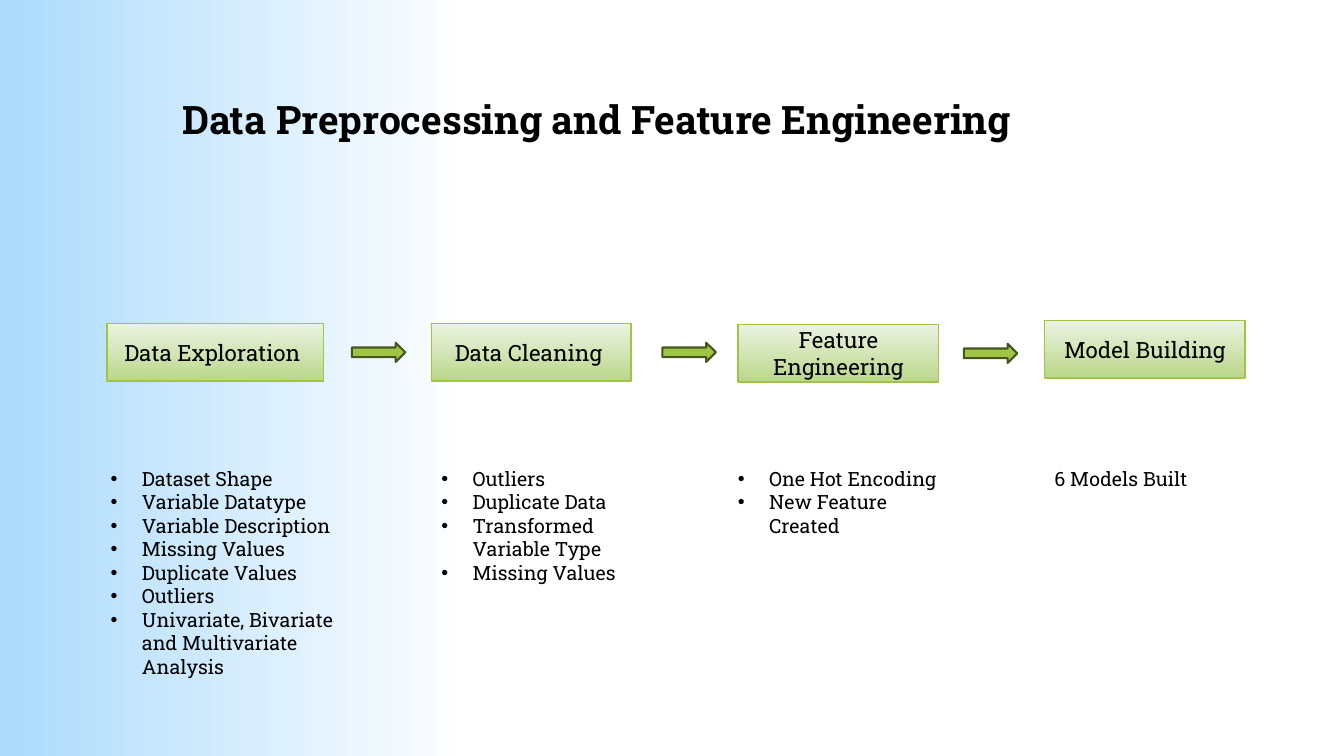
from dataclasses import dataclass

from lxml.etree import SubElement
from pptx import Presentation
from pptx.dml.color import RGBColor
from pptx.enum.shapes import MSO_SHAPE
from pptx.enum.text import MSO_ANCHOR, MSO_AUTO_SIZE, PP_ALIGN
from pptx.oxml.ns import qn
from pptx.util import Inches, Pt

# Content
TITLE = "Data Preprocessing and Feature Engineering"
# Each stage: heading, (left, top, width) of its box, (left, width, height) of its steps
STAGES = [
    ("Data Exploration ", (1.06, 3.21, 2.15), (1.0, 2.7, 1.99),
     ["Dataset Shape", "Variable Datatype", "Variable Description",
      "Missing Values", "Duplicate Values", "Outliers",
      "Univariate, Bivariate and Multivariate Analysis"]),
    ("Data Cleaning ", (4.28, 3.21, 1.98), (4.28, 1.98, 1.51),
     ["Outliers", "Duplicate Data", "Transformed Variable Type",
      "Missing Values"]),
    ("Feature Engineering", (7.32, 3.22, 1.99), (7.22, 2.4, 0.57),
     ["One Hot Encoding", "New Feature Created"]),
    ("Model Building", (10.36, 3.18, 1.99), (10.36, 2.13, 0.34),
     ["6 Models Built"]),
]
ARROWS = [(3.49, 3.4), (6.57, 3.4), (9.56, 3.41)]
BOX_HEIGHT = 0.57
STEPS_TOP = 4.58
BULLET_INDENT = 0.31


@dataclass(frozen=True)
class Theme:
    font: str = "Roboto Slab"
    title_size: int = 28
    stage_size: int = 16
    step_size: int = 14
    text: str = "000000"
    green: str = "9EC544"
    arrow_line: str = "45561E"
    box_gradient: tuple = ((0, "EBF3E1"), (1, "BAD78A"))
    page_gradient: tuple = ((0.65, "FFFFFF"), (1, "ABDAFC"))


THEME = Theme()


def color(value):
    return RGBColor.from_string(value)


def apply_gradient(fill, stops, angle):
    fill.gradient()
    fill.gradient_angle = angle
    for stop, (position, value) in zip(fill.gradient_stops, stops):
        stop.color.rgb = color(value)
        stop.position = position


def format_text(text_frame, size, alignment, bold=False):
    text_frame.word_wrap = True
    for paragraph in text_frame.paragraphs:
        paragraph.alignment = alignment
        for run in paragraph.runs:
            run.font.name = THEME.font
            run.font.size = Pt(size)
            run.font.bold = bold
            run.font.color.rgb = color(THEME.text)


def add_bullet(paragraph):
    properties = paragraph._p.get_or_add_pPr()
    properties.set("marL", str(Inches(BULLET_INDENT)))
    properties.set("indent", str(-Inches(BULLET_INDENT)))
    SubElement(properties, qn("a:buFont")).set("typeface", "Arial")
    SubElement(properties, qn("a:buChar")).set("char", "•")


def add_outlined_shape(slide, kind, box, line_color, line_width):
    shape = slide.shapes.add_shape(kind, *map(Inches, box))
    shape.shadow.inherit = False
    shape.line.color.rgb = color(line_color)
    shape.line.width = Pt(line_width)
    return shape


def add_stage(slide, heading, box, steps_box, steps):
    # Stage box
    shape = add_outlined_shape(slide, MSO_SHAPE.RECTANGLE, (*box, BOX_HEIGHT),
                               THEME.green, 1)
    apply_gradient(shape.fill, THEME.box_gradient, 270)
    shape.text_frame.text = heading
    shape.text_frame.vertical_anchor = MSO_ANCHOR.MIDDLE
    format_text(shape.text_frame, THEME.stage_size, PP_ALIGN.CENTER)

    # Steps under the box, bulleted when there are several
    left, width, height = steps_box
    textbox = slide.shapes.add_textbox(
        *map(Inches, (left, STEPS_TOP, width, height)))
    text_frame = textbox.text_frame
    text_frame.text = "\n".join(steps)
    format_text(text_frame, THEME.step_size, PP_ALIGN.LEFT)
    if len(steps) > 1:
        for paragraph in text_frame.paragraphs:
            add_bullet(paragraph)


def main():
    presentation = Presentation()
    presentation.slide_width = Inches(13.33)
    presentation.slide_height = Inches(7.5)
    slide = presentation.slides.add_slide(presentation.slide_layouts[5])
    apply_gradient(slide.background.fill, THEME.page_gradient, 180)

    # Title
    title = slide.shapes.title
    title.left, title.top = Inches(1.71), Inches(0.9)
    title.width, title.height = Inches(10.25), Inches(0.57)
    title.text_frame.text = TITLE
    title.text_frame.vertical_anchor = MSO_ANCHOR.TOP
    title.text_frame.auto_size = MSO_AUTO_SIZE.NONE
    format_text(title.text_frame, THEME.title_size, PP_ALIGN.LEFT, bold=True)

    # Stages
    for stage in STAGES:
        add_stage(slide, *stage)

    # Arrows between stages
    for left, top in ARROWS:
        arrow = add_outlined_shape(slide, MSO_SHAPE.RIGHT_ARROW,
                                   (left, top, 0.53, 0.19),
                                   THEME.arrow_line, 1.5)
        arrow.fill.solid()
        arrow.fill.fore_color.rgb = color(THEME.green)

    presentation.save("out.pptx")


if __name__ == "__main__":
    main()
